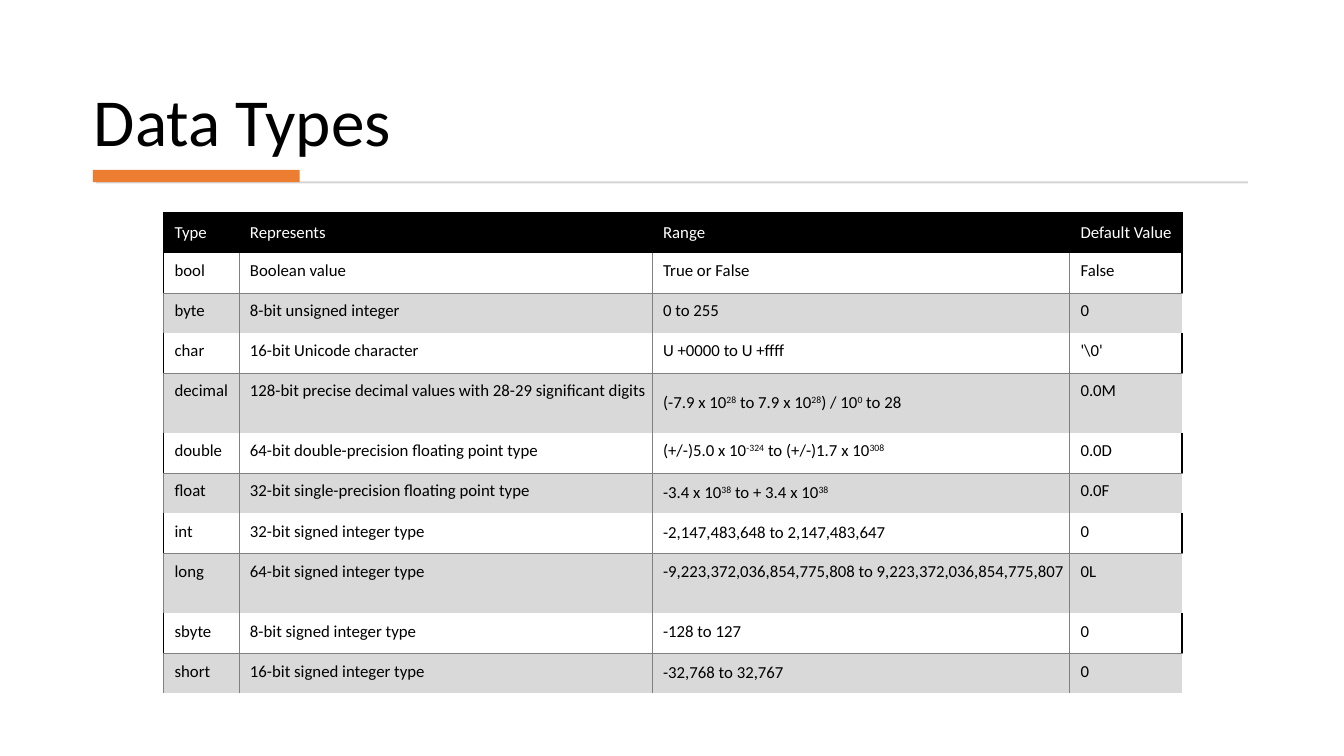
import dataclasses

import lxml.etree
import pptx
import pptx.dml.color
import pptx.enum.shapes
import pptx.enum.text
import pptx.oxml.ns
import pptx.util

Cm, Pt = pptx.util.Cm, pptx.util.Pt
RGB = pptx.dml.color.RGBColor.from_string
Anchor = pptx.enum.text.MSO_ANCHOR


@dataclasses.dataclass(frozen=True)
class Theme:
    font: str = "Calibri"
    title_size: int = 48
    table_size: int = 12
    ink: str = "000000"
    paper: str = "FFFFFF"
    accent: str = "ED7D31"
    rule: str = "D5D5D5"
    band: str = "D9D9D9"
    grid: str = "808080"
    thin: float = 0.5
    thick: float = 1.5


THEME = Theme()

# Text between carets is superscript
ROWS = [
    ("Type", "Represents", "Range", "Default Value"),
    ("bool", "Boolean value", "True or False", "False"),
    ("byte", "8-bit unsigned integer", "0 to 255", "0"),
    ("char", "16-bit Unicode character", "U +0000 to U +ffff", r"'\0'"),
    ("decimal", "128-bit precise decimal values with 28-29 significant digits",
     "(-7.9 x 10^28^ to 7.9 x 10^28^) / 10^0^ to 28", "0.0M"),
    ("double", "64-bit double-precision floating point type",
     "(+/-)5.0 x 10^-324^ to (+/-)1.7 x 10^308^", "0.0D"),
    ("float", "32-bit single-precision floating point type",
     "-3.4 x 10^38^ to + 3.4 x 10^38^", "0.0F"),
    ("int", "32-bit signed integer type", "-2,147,483,648 to 2,147,483,647", "0"),
    ("long", "64-bit signed integer type",
     "-9,223,372,036,854,775,808 to 9,223,372,036,854,775,807", "0L"),
    ("sbyte", "8-bit signed integer type", "-128 to 127", "0"),
    ("short", "16-bit signed integer type", "-32,768 to 32,767", "0"),
]
COLUMN_WIDTHS = (1.9, 10.41, 10.52, 2.84)
ROW_HEIGHT, TALL_ROW_HEIGHT = 1.01, 1.51
TALL_TYPES = ("decimal", "long")
CENTRED_RANGES = ("decimal", "float", "int", "short")


def apply_format(target, values):
    for name, value in values.items():
        setattr(target, name, value)


def write_text(para, text, size, colour):
    for index, part in enumerate(text.split("^")):
        if not part:
            continue
        span = para.add_run()
        span.text = part
        apply_format(span.font, {"name": THEME.font, "size": Pt(size)})
        span.font.color.rgb = RGB(colour)
        if index % 2:
            span._r.get_or_add_rPr().set("baseline", "30000")


def add_title(page, text, left, top, width, height):
    title = page.shapes.title
    apply_format(title, {"left": Cm(left), "top": Cm(top),
                         "width": Cm(width), "height": Cm(height)})
    apply_format(title.text_frame, {
        "word_wrap": True, "vertical_anchor": Anchor.MIDDLE,
        "auto_size": pptx.enum.text.MSO_AUTO_SIZE.SHAPE_TO_FIT_TEXT})
    para = title.text_frame.paragraphs[0]
    para.alignment = pptx.enum.text.PP_ALIGN.LEFT
    write_text(para, text, THEME.title_size, THEME.ink)


def add_underline(page, left, top, width, height):
    """Thin rule along the foot of the box, with an accent bar at its left."""
    bars = [
        (left + 0.08, top + height - 0.05, width - 0.08, 0.05, THEME.rule),
        (left, top, 5.21, height - 0.03, THEME.accent),
    ]
    for *place, colour in bars:
        bar = page.shapes.add_shape(pptx.enum.shapes.MSO_SHAPE.RECTANGLE,
                                    *map(Cm, place))
        bar.shadow.inherit = False
        bar.fill.solid()
        bar.fill.fore_color.rgb = RGB(colour)
        bar.line.fill.background()


def cell_borders(row, column):
    """Borders as left, right, top, bottom; None means no line."""
    thick, thin = (THEME.ink, THEME.thick), (THEME.grid, THEME.thin)
    if row == 0:
        return thick, thick, thick, None
    banded = row % 2 == 0
    left = thick if column == 0 and not banded else thin
    right = thin
    if column == len(COLUMN_WIDTHS) - 1:
        right = None if banded else thick
    return (left, right, thin, None) if banded else (left, right, None, thin)


def set_borders(cell, borders):
    properties = cell._tc.get_or_add_tcPr()
    qn, child = pptx.oxml.ns.qn, lxml.etree.SubElement
    for position, (side, border) in enumerate(zip("LRTB", borders)):
        line = lxml.etree.Element(qn(f"a:ln{side}"))
        properties.insert(position, line)
        if border is None:
            line.set("w", "0")
            child(line, qn("a:noFill"))
        else:
            colour, width = border
            line.set("w", str(int(Pt(width))))
            child(child(line, qn("a:solidFill")), qn("a:srgbClr"), val=colour)


def fill_cell(cell, row, column, text):
    header, banded = row == 0, row % 2 == 0
    centred = header or (column == 2 and ROWS[row][0] in CENTRED_RANGES)
    apply_format(cell, {
        "margin_left": Cm(0.28), "margin_right": Cm(0.05),
        "margin_top": Cm(0.2), "margin_bottom": Cm(0.2),
        "vertical_anchor": Anchor.MIDDLE if centred else Anchor.TOP})
    if banded:
        cell.fill.solid()
        cell.fill.fore_color.rgb = RGB(THEME.ink if header else THEME.band)
    else:
        cell.fill.background()
    write_text(cell.text_frame.paragraphs[0], text, THEME.table_size,
               THEME.paper if header else THEME.ink)
    set_borders(cell, cell_borders(row, column))


def add_type_table(page, left, top):
    heights = [TALL_ROW_HEIGHT if row[0] in TALL_TYPES else ROW_HEIGHT
               for row in ROWS]
    table = page.shapes.add_table(
        len(ROWS), len(COLUMN_WIDTHS), Cm(left), Cm(top),
        Cm(sum(COLUMN_WIDTHS)), Cm(sum(heights))).table
    apply_format(table, {"first_row": False, "horz_banding": False})
    for column, width in zip(table.columns, COLUMN_WIDTHS):
        column.width = Cm(width)
    for row, height in zip(table.rows, heights):
        row.height = Cm(height)
    for row, texts in enumerate(ROWS):
        for column, text in enumerate(texts):
            fill_cell(table.cell(row, column), row, column, text)


def main():
    deck = pptx.Presentation()
    apply_format(deck, {"slide_width": Cm(33.87), "slide_height": Cm(19.05)})
    page = deck.slides.add_slide(deck.slide_layouts[5])
    # Heading
    add_underline(page, 2.34, 4.28, 29.11, 0.34)
    add_title(page, "Data Types", 2.11, 1.85, 24.71, 2.31)
    # Data types
    add_type_table(page, 4.12, 5.36)
    deck.save("out.pptx")


if __name__ == "__main__":
    main()
